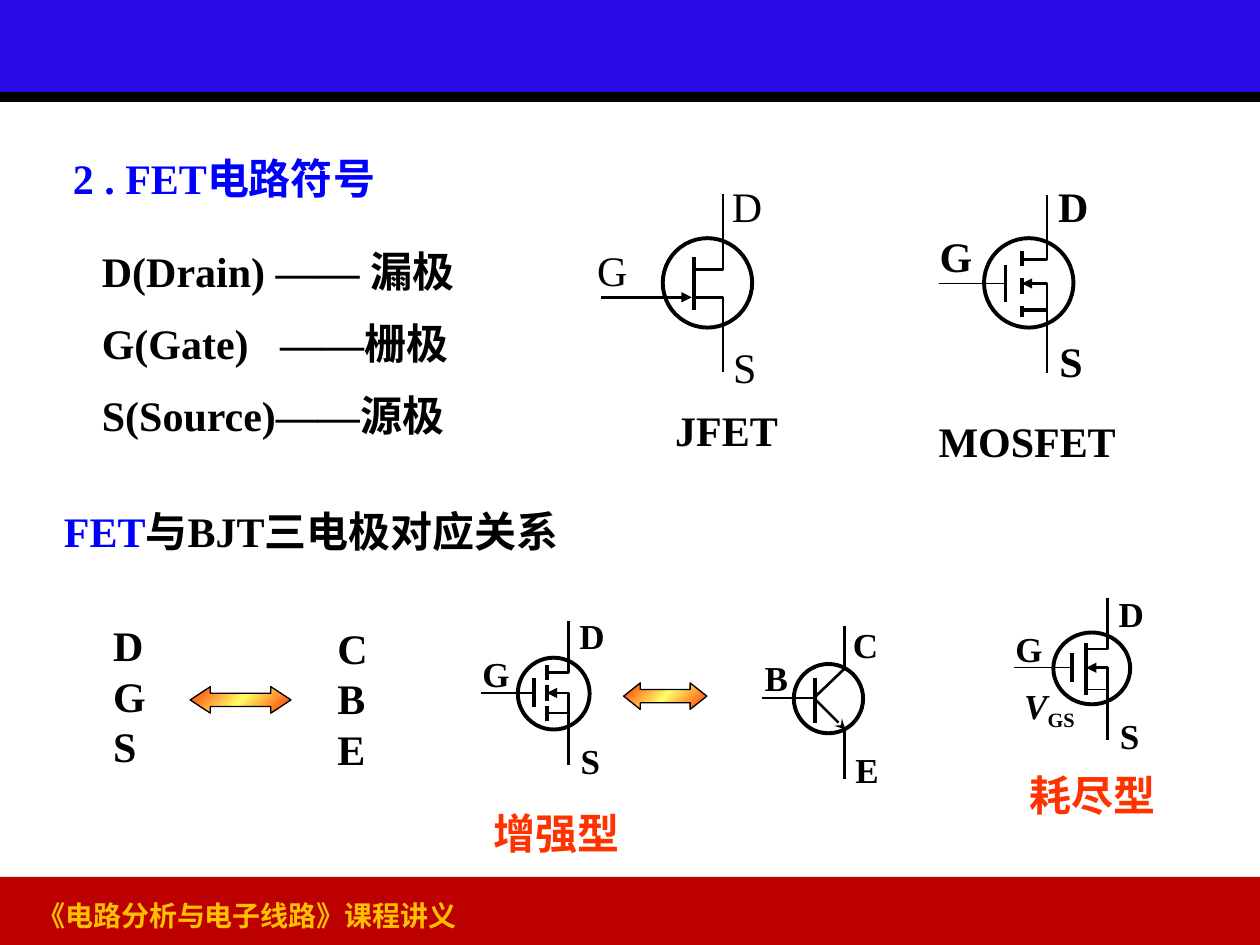
import pptx
import pptx.util
import pptx.dml.color
import pptx.enum.dml
import pptx.enum.shapes
import pptx.enum.text
import pptx.oxml
import pptx.oxml.ns

Inches = pptx.util.Inches
Pt = pptx.util.Pt
RGBColor = pptx.dml.color.RGBColor
MSO_SHAPE = pptx.enum.shapes.MSO_SHAPE

BLACK = RGBColor(0x00, 0x00, 0x00)
BLUE = RGBColor(0x00, 0x00, 0xFF)
HEADER_BLUE = RGBColor(0x2B, 0x0C, 0xE8)
FOOTER_RED = RGBColor(0xBC, 0x00, 0x00)
GOLD = RGBColor(0xFF, 0xC0, 0x00)
ORANGE = RGBColor(0xFF, 0x33, 0x00)
YELLOW = RGBColor(0xFF, 0xFF, 0x66)
SERIF = "Times New Roman"
LABEL_WIDTHS = {24: {"D": 0.44, "S": 0.39}, 20: {"D": 0.4, "S": 0.36}}


def xml(tag, body="", attrs=""):
    return pptx.oxml.parse_xml(
        f"<a:{tag} {pptx.oxml.ns.nsdecls('a')} {attrs}>{body}</a:{tag}>")


def add_text(shapes, x, y, w, *lines, h=0.5, size=24, color=BLACK, bold=True, wrap=False):
    sp = shapes.add_textbox(Inches(x), Inches(y), Inches(w), Inches(h))
    tf = sp.text_frame
    tf.word_wrap = wrap
    tf.auto_size = pptx.enum.text.MSO_AUTO_SIZE.SHAPE_TO_FIT_TEXT
    for i, line in enumerate(lines):
        p = tf.add_paragraph() if i else tf.paragraphs[0]
        p.font.name = SERIF
        p.font.size = Pt(size)
        p.font.bold = bold
        p.font.color.rgb = color
        p.add_run().text = line
    return tf.paragraphs[0]


def add_bar(shapes, x, y, w, h, color):
    sp = shapes.add_shape(MSO_SHAPE.RECTANGLE, Inches(x), Inches(y), Inches(w), Inches(h))
    sp.shadow.inherit = False
    sp.fill.solid()
    sp.fill.fore_color.rgb = color
    sp.line.fill.background()


def set_line(sp, width, head=None, tail=None):
    sp.line.color.rgb = BLACK
    sp.line.width = Pt(width)
    for tag, kind in (("headEnd", head), ("tailEnd", tail)):
        if kind:
            sp.line._get_or_add_ln().append(xml(tag, attrs=f'type="{kind}"'))


def add_line(shapes, x1, y1, x2, y2, width=1.5, tail=None):
    sp = shapes.add_connector(pptx.enum.shapes.MSO_CONNECTOR.STRAIGHT,
                              Inches(x1), Inches(y1), Inches(x2), Inches(y2))
    set_line(sp, width, tail=tail)
    sp._element.spPr.append(xml("effectLst"))
    return sp


def add_corner(shapes, x1, y1, x2, y2, head=None):
    builder = shapes.build_freeform(Inches(x1), Inches(y1))
    builder.add_line_segments([(Inches(x2), Inches(y1)), (Inches(x2), Inches(y2))], close=False)
    sp = builder.convert_to_shape()
    sp.shadow.inherit = False
    sp.fill.background()
    set_line(sp, 1.5, head=head)


def add_circle(shapes, x, y, w, h):
    sp = shapes.add_shape(MSO_SHAPE.OVAL, Inches(x), Inches(y), Inches(w), Inches(h))
    sp.shadow.inherit = False
    sp.fill.background()
    set_line(sp, 2.25)


def add_double_arrow(shapes, x, y, w, point):
    sp = shapes.add_shape(MSO_SHAPE.LEFT_RIGHT_ARROW,
                          Inches(x), Inches(y), Inches(w), Inches(0.21))
    sp.adjustments[0], sp.adjustments[1] = 0.5, point
    sp.shadow.inherit = False
    sp.fill.gradient()
    grad = sp._element.spPr.find(pptx.oxml.ns.qn("a:gradFill"))
    stops = "".join(f'<a:gs pos="{pos}"><a:srgbClr val="{c}"/></a:gs>'
                    for pos, c in ((0, ORANGE), (50000, YELLOW), (100000, ORANGE)))
    new = xml("gradFill", f'<a:gsLst>{stops}</a:gsLst><a:lin ang="2700000" scaled="1"/>')
    grad.getparent().replace(grad, new)
    set_line(sp, 0.75)


def add_mosfet(shapes, xs, ys, circle, gate_height, g_width, size=20, low_width=0.75):
    lead, gate, channel, terminal = xs
    top, drain, middle, low, bottom = ys
    add_line(shapes, lead, middle, gate, middle, 0.75)
    add_line(shapes, gate, middle - gate_height / 2, gate, middle + gate_height / 2, 2.25)
    add_line(shapes, channel, low, terminal, low, low_width)
    add_circle(shapes, *circle)
    add_corner(shapes, channel, drain, terminal, top)
    add_corner(shapes, channel, middle, terminal, bottom, head="triangle")
    h, shift = (0.5, 0.1) if size == 24 else (0.43, 0)
    widths = LABEL_WIDTHS[size]
    add_text(shapes, terminal - 0.01, top + 0.33 - h, widths["D"], "D", h=h, size=size)
    add_text(shapes, lead - 0.09, middle - 0.37 - shift, g_width, "G", h=h, size=size, wrap=True)
    add_text(shapes, terminal, bottom - 0.25 - shift, widths["S"], "S", h=h, size=size)


def add_jfet(shapes):
    add_text(shapes, 5.26, 3.16, 1.02, "JFET")
    add_circle(shapes, 5.26, 1.89, 0.71, 0.71)
    add_line(shapes, 5.51, 2.04, 5.51, 2.46, 2.25)
    add_corner(shapes, 5.51, 2.14, 5.74, 1.54)
    add_corner(shapes, 5.51, 2.36, 5.74, 2.95)
    add_line(shapes, 4.77, 2.36, 5.49, 2.36, tail="triangle")
    for label, x, y, w in (("G", 4.64, 1.89, 0.44), ("S", 5.72, 2.66, 0.39),
                           ("D", 5.71, 1.38, 0.44)):
        add_text(shapes, x, y, w, label, bold=False)


def add_bjt(shapes):
    add_line(shapes, 6.7, 5.3, 6.7, 4.97)
    add_line(shapes, 6.71, 5.3, 6.47, 5.53)
    add_line(shapes, 6.47, 5.55, 6.71, 5.79, tail="stealth")
    add_line(shapes, 6.45, 5.54, 6.05, 5.54)
    add_line(shapes, 6.47, 5.38, 6.47, 5.74, 2.25)
    add_line(shapes, 6.7, 5.8, 6.7, 6.18)
    add_circle(shapes, 6.3, 5.27, 0.55, 0.55)
    for label, x, y in (("C", 6.67, 4.9), ("B", 5.97, 5.16), ("E", 6.69, 5.89)):
        add_text(shapes, x, y, 0.39, label, h=0.43, size=20)


def add_power_mosfet(shapes):
    add_text(shapes, 7.35, 3.25, 1.61, "MOSFET")
    channel = add_line(shapes, 8.11, 1.99, 8.11, 2.52, 2.25)
    channel.line.dash_style = pptx.enum.dml.MSO_LINE.DASH
    add_mosfet(shapes, (7.45, 7.98, 8.11, 8.31), (1.55, 2.06, 2.25, 2.46, 2.96),
               (7.81, 1.89, 0.71, 0.71), 0.29, 0.46, size=24, low_width=2.25)


def add_enhancement_mosfet(shapes):
    add_mosfet(shapes, (3.82, 4.24, 4.34, 4.51), (4.93, 5.34, 5.5, 5.66, 6.07),
               (4.11, 5.22, 0.57, 0.57), 0.23, 0.37)
    for i in range(3):
        y = 5.28 + 0.16 * i
        add_line(shapes, 4.34, y, 4.34, y + 0.12, 2)


def add_depletion_mosfet(shapes):
    add_line(shapes, 8.62, 5.1, 8.62, 5.52, 2)
    add_mosfet(shapes, (8.05, 8.51, 8.62, 8.79), (4.75, 5.15, 5.3, 5.47, 5.87),
               (8.36, 5.02, 0.61, 0.57), 0.23, 0.4)
    add_text(shapes, 8.07, 6.06, 1.21, "耗尽型", color=ORANGE)
    p = add_text(shapes, 8.03, 5.38, 0.63, "V", h=0.43, size=20)
    p.runs[0].font.italic = True
    r = p.add_run()
    r.text = "GS"
    r.font._element.set("baseline", "-25000")


def main():
    prs = pptx.Presentation()
    prs.slide_width, prs.slide_height = Inches(10), Inches(7.5)
    s = prs.slides.add_slide(prs.slide_layouts[6])
    shapes = s.shapes

    add_bar(shapes, -0.02, 6.96, 10.04, 0.56, FOOTER_RED)
    add_bar(shapes, -0.02, 0, 10.04, 0.76, HEADER_BLUE)
    add_bar(shapes, -0.01, 0.73, 10.02, 0.08, BLACK)
    add_text(shapes, 0.2, 7.08, 8.82, "《电路分析与电子线路》课程讲义",
             h=0.64, size=16, color=GOLD, wrap=True)

    add_text(shapes, 0.48, 1.16, 4, "2 . FET电路符号", color=BLUE, wrap=True)
    terms = (("D(Drain) —— ", "漏极"), ("G(Gate)   ——", "栅极"), ("S(Source)——", "源极"))
    for i, (term, meaning) in enumerate(terms):
        p = add_text(shapes, 0.71, 1.9 + 0.57 * i, 3.28, term, wrap=True)
        r = p.add_run()
        r.text = meaning
        r.font.name = "Arial"
    p = add_text(shapes, 0.41, 3.96, 5.23, "FET", wrap=True)
    p.runs[0].font.color.rgb = BLUE
    p.add_run().text = "与BJT三电极对应关系"

    add_text(shapes, 0.8, 4.87, 0.46, "D", "G", "S", h=1.3)
    add_double_arrow(shapes, 1.51, 5.45, 0.8, 0.76)
    add_text(shapes, 2.58, 4.89, 0.44, "C", "B", "E", h=1.3)
    add_double_arrow(shapes, 4.95, 5.42, 0.66, 0.63)
    for draw in (add_jfet, add_power_mosfet, add_enhancement_mosfet,
                 add_bjt, add_depletion_mosfet):
        draw(shapes.add_group_shape().shapes)
    add_text(shapes, 3.82, 6.36, 1.57, "增强型", color=ORANGE, wrap=True)

    prs.save("out.pptx")


if __name__ == "__main__":
    main()
